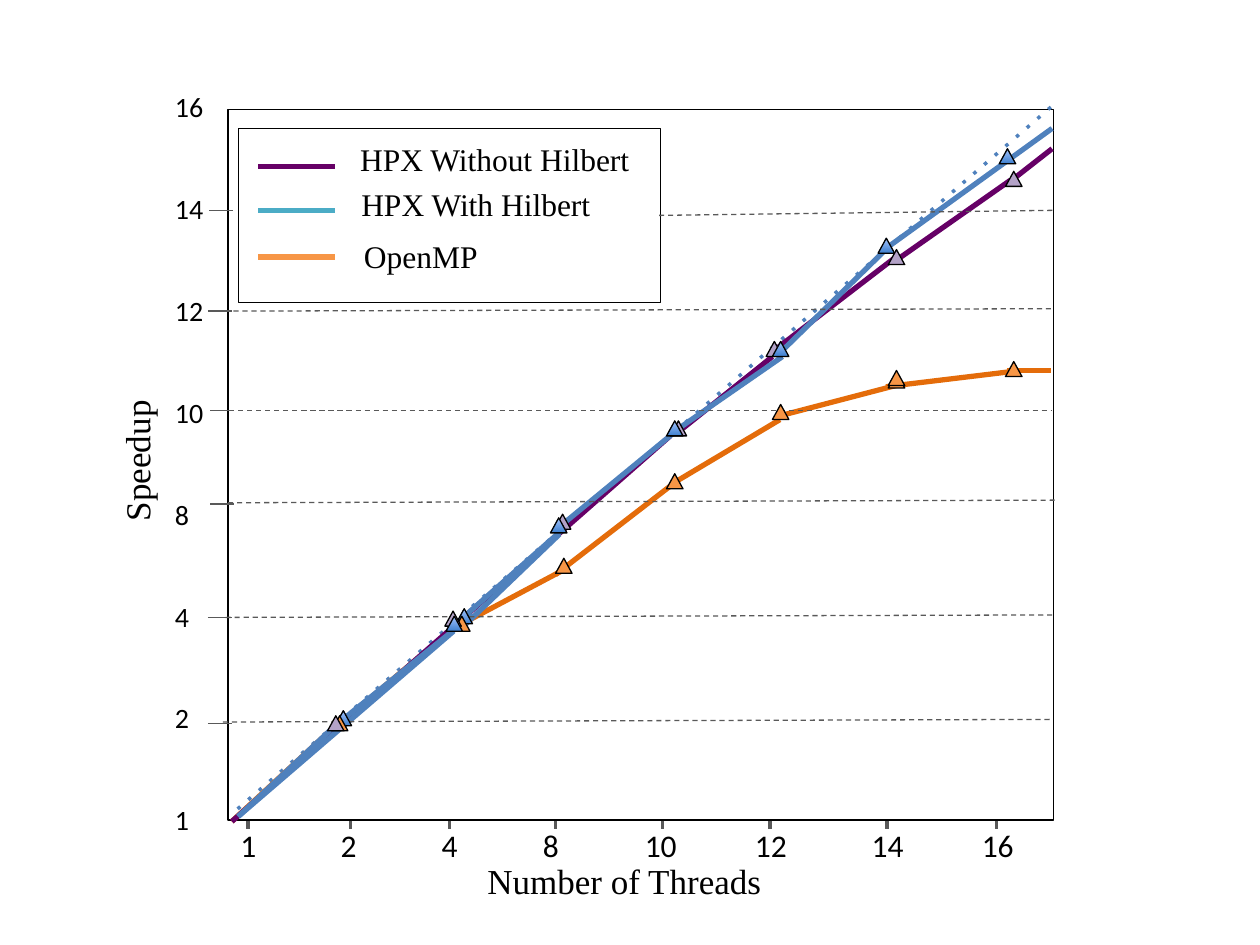
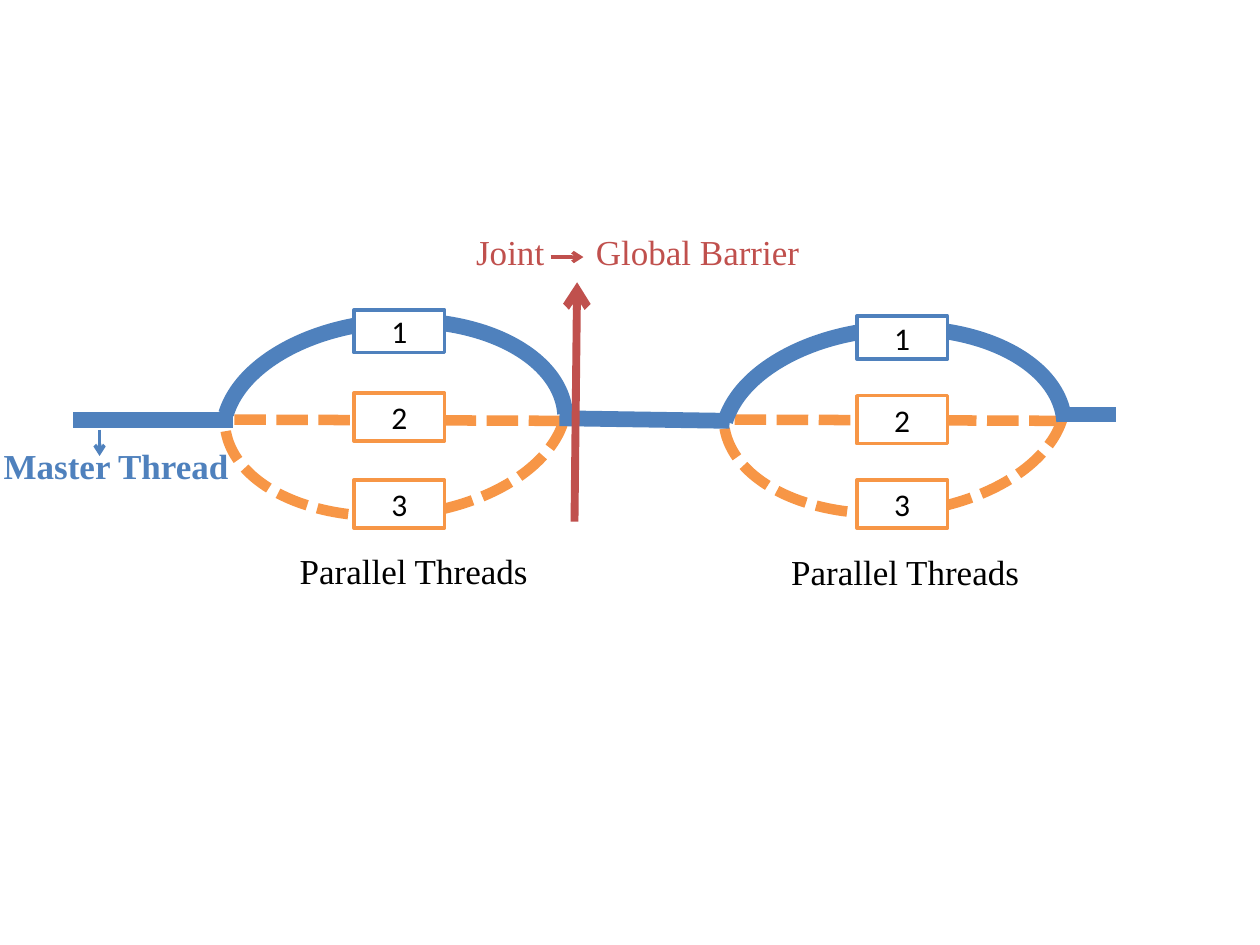
"""Build two slides: a speedup plot and a fork-join thread diagram."""
import pptx
import pptx.dml.color
import pptx.enum.shapes
import pptx.enum.text
import pptx.oxml.ns
import pptx.util
from lxml import etree

Pt = pptx.util.Pt
RGB = pptx.dml.color.RGBColor
KIND = pptx.enum.shapes.MSO_SHAPE
qn = pptx.oxml.ns.qn

BLACK = RGB(0x00, 0x00, 0x00)
WHITE = RGB(0xFF, 0xFF, 0xFF)
GREY = RGB(0x59, 0x59, 0x59)
BLUE = RGB(0x4F, 0x81, 0xBD)
DEEP = RGB(0x3F, 0x80, 0xCE)
PALE = RGB(0xA4, 0xC4, 0xFF)
TEAL = RGB(0x4B, 0xAC, 0xC6)
ORANGE = RGB(0xF7, 0x96, 0x46)
RUST = RGB(0xE4, 0x6C, 0x0A)
PURPLE = RGB(0x66, 0x00, 0x66)
LILAC = RGB(0xB3, 0xA2, 0xC7)
RED = RGB(0xC0, 0x50, 0x4D)
SERIF = "Times New Roman"
SANS = "Calibri"


class Deck:
    """Hold the presentation, its fonts and the current slide."""

    def __init__(self):
        self.file = pptx.Presentation()
        self.file.slide_width, self.file.slide_height = Pt(720), Pt(540)
        self.slide = None

    def page(self):
        self.slide = self.file.slides.add_slide(self.file.slide_layouts[6])

    def style(self, para, size, font, color, bold=False):
        para.font.size, para.font.name = Pt(size), font
        para.font.color.rgb, para.font.bold = color, bold

    def stroke(self, shape, color, width, dash=None, arrow=False):
        shape.line.color.rgb = color
        shape.line.width = Pt(width)
        edge = shape.element.spPr.find(qn("a:ln"))
        if dash:
            etree.SubElement(edge, qn("a:prstDash"), val=dash)
        if arrow:
            etree.SubElement(edge, qn("a:tailEnd"), type="arrow")

    def line(self, ends, color, width, dash=None, arrow=False):
        link = self.slide.shapes.add_connector(
            pptx.enum.shapes.MSO_CONNECTOR.STRAIGHT, *map(Pt, ends))
        self.stroke(link, color, width, dash, arrow)
        etree.SubElement(link.element.spPr, qn("a:effectLst"))

    def shape(self, kind, spot, color, width, fill=None, dash=None):
        item = self.slide.shapes.add_shape(kind, *map(Pt, spot))
        item.shadow.inherit = False
        if fill is None:
            item.fill.background()
        else:
            item.fill.solid()
            item.fill.fore_color.rgb = fill
        self.stroke(item, color, width, dash)
        return item

    def mark(self, left, top, fill):
        item = self.shape(KIND.ISOSCELES_TRIANGLE, (left, top, 9.4, 8.6), BLACK, 0.75, fill)
        if fill == BLUE:
            item.fill.gradient()
            item.fill.gradient_angle = 90
            for stop, color in zip(item.fill.gradient_stops, (DEEP, PALE)):
                stop.color.rgb = color

    def arc(self, spot, turn, color, width, dash=None):
        item = self.shape(KIND.ARC, spot, color, width, dash=dash)
        item.adjustments[0], item.adjustments[1] = 112.833, 0
        item.rotation = turn

    def node(self, text, spot, color):
        item = self.shape(KIND.RECTANGLE, spot, color, 2, WHITE)
        item.text_frame.vertical_anchor = pptx.enum.text.MSO_ANCHOR.MIDDLE
        para = item.text_frame.paragraphs[0]
        para.text = text
        para.alignment = pptx.enum.text.PP_ALIGN.CENTER
        self.style(para, 18, SANS, BLACK)

    def text(self, words, spot, size=20, font=SERIF, color=BLACK, bold=False,
             wrap=False, tabs=(), align="ctr", gap=0):
        box = self.slide.shapes.add_textbox(*map(Pt, spot))
        box.text_frame.word_wrap = wrap
        box.text_frame.text = words
        for index, para in enumerate(box.text_frame.paragraphs):
            if tabs:
                stops = etree.SubElement(
                    para._p.get_or_add_pPr(), qn("a:tabLst"))
                for place in tabs:
                    etree.SubElement(stops, qn("a:tab"), pos=str(Pt(place)), algn=align)
            if index:
                para.space_before = Pt(gap)
            self.style(para, size, font, color, bold)
        return box


RUNS = {
    RUST: [
        (132.5, 469.4, 187.9, 418.3), (194.4, 413.3, 260.6, 357.8),
        (264.2, 356.4, 322.6, 325.4), (317.5, 328.3, 386.6, 275),
        (386.6, 275, 445.7, 239.8), (445.7, 237.6, 511.9, 220.3),
        (506.2, 221, 577.4, 212.4), (575.3, 211.7, 600.5, 211.7)],
    PURPLE: [
        (132.5, 469.4, 383, 249.1), (390.2, 244.8, 441.4, 203.8),
        (443.5, 199.4, 511.9, 146.9), (514.8, 146.9, 577.4, 103),
        (578.2, 103, 601.2, 85)],
    BLUE: [
        (136.1, 466.6, 191.5, 414.7), (191.5, 414.7, 270, 351.4),
        (136.1, 466.6, 259.2, 360.7), (261.4, 355.7, 323.3, 301),
        (266.4, 356.4, 319.7, 305.3), (323.3, 298.1, 388.1, 244.8),
        (385.9, 246.2, 447.1, 203.8), (443.5, 203.8, 506.2, 142.6),
        (505.4, 142.6, 601.2, 73.4)],
}
MARKS = [
    (BLUE, [(260.6, 347.8), (191.5, 406.1)]),
    (ORANGE, [(317.5, 319), (259.2, 352.1), (189.4, 409), (441.4, 231.1),
              (507.6, 213.1), (507.6, 211.7), (574.6, 206.6), (380.9, 270.7)]),
    (LILAC, [(383, 240.5), (316.8, 293.8), (254.2, 349.2), (187.2, 409),
             (507.6, 142.6), (574.6, 97.9), (437.8, 195.1)]),
    (BLUE, [(380.9, 240.5), (254.9, 352.1), (314.6, 295.9), (441.4, 195.1),
            (501.8, 136.1), (571, 85)]),
]
GRID = [
    (376.6, 123.1, 601.9, 120.2), (128.2, 177.8, 600.5, 176.4),
    (136.1, 234.7, 600.5, 234.7), (130.3, 287.3, 602.6, 285.8),
    (128.9, 352.8, 601.2, 351.4), (127.4, 412.6, 600.5, 411.1)]
ROWS = [(119.5, 120.2), (118.8, 177.8), (120.2, 234.7),
        (120.2, 288), (118.8, 352.8), (118.8, 413.3)]
COLS = [141.8, 200.2, 257, 317.5, 378.7, 439.9, 506.9, 569.5]
KEYS = [
    ("HPX Without Hilbert", PURPLE, 95, (198.7, 76.3, 169.9, 28.8)),
    ("HPX With Hilbert", TEAL, 120.2, (199.4, 102.2, 146.9, 28.8)),
    ("OpenMP", ORANGE, 146.9, (200.9, 131.8, 79.9, 28.8))]
COUNTS = ["1", "2", "4", "8", "10", "12", "14", "16"]


def plot(deck):
    """Draw the speedup plot."""
    deck.page()
    deck.shape(KIND.RECTANGLE, (130.3, 62.6, 471.6, 406.1), BLACK, 0.75)
    deck.text("\t".join(COUNTS), (130.3, 468.7, 472.3, 28.8), 18, SANS, wrap=True,
              tabs=(61.9, 119.6, 177.4, 240.2, 303.1, 369.9, 432.8))
    deck.text("\n".join(reversed(COUNTS)), (92.9, 47.5, 31, 433.4), 16, SANS, gap=39.06)
    deck.text("Number of Threads", (271.4, 487.4, 173.5, 31.7))
    deck.text("Speedup", (13, 223.9, 130.3, 31.7), wrap=True).rotation = 270
    deck.shape(KIND.RECTANGLE, (136.1, 73.4, 241.2, 99.4), BLACK, 0.75)
    for name, color, level, spot in KEYS:
        deck.line((147.6, level, 191.5, level), color, 3)
        deck.text(name, spot, 18)
    deck.line((600.5, 61.2, 132.5, 465.1), BLUE, 2, "dot")
    for color, parts in RUNS.items():
        for ends in parts:
            deck.line(ends, color, 3)
    for ends in GRID:
        deck.line(ends, GREY, 0.75, "dash")
    for left, level in ROWS:
        deck.line((left, level, left + 13.7, level), GREY, 0.75)
    for left in COLS:
        deck.line((left, 469, left, 473.8), GREY, 2)
    for fill, spots in MARKS:
        for left, top in spots:
            deck.mark(left, top, fill)


def loop(deck, dash, arcs, left, tops, label):
    """Draw one fork and join of three threads."""
    deck.line(dash, ORANGE, 6, "sysDash")
    upper, lower = arcs
    deck.arc((*lower, 195.8, 119.5), 175, ORANGE, 6, "sysDash")
    deck.arc((*upper, 195.8, 119.5), 356, BLUE, 9)
    for count, top in enumerate(tops, 1):
        first = count == 1
        deck.node(str(count), (left, top, 51.8, 24.5 if first else 27.4),
                  BLUE if first else ORANGE)
    deck.text("Parallel Threads", (*label, 146.2, 31.7))


def fork(deck):
    """Draw the fork-join thread diagram."""
    deck.page()
    loop(deck, (133.9, 239.8, 323.3, 240.5), ((127.4, 183.6), (128.2, 175)),
         202.3, (177.1, 224.6, 274.3), (164.2, 310.3))
    loop(deck, (419.8, 239.8, 609.1, 240.5), ((412.6, 187.9), (413.3, 173.5)),
         489.6, (180.7, 226.1, 274.3), (445, 311))
    for ends in ((41.8, 239.8, 133.2, 239.8), (319.7, 239, 416.9, 240.5),
                 (604.8, 236.9, 637.9, 236.9)):
        deck.line(ends, BLUE, 9)
    deck.text("Master Thread", (-5, 250.6, 144, 31.7), color=BLUE, bold=True)
    deck.text("Joint\tGlobal Barrier", (265, 128.2, 201.6, 31.7), color=RED,
              wrap=True, tabs=(68.4,), align="l")
    deck.line((328.3, 298.1, 329.8, 161.3), RED, 4.5, arrow=True)
    deck.line((314.6, 146.9, 333.4, 146.9), RED, 2, arrow=True)
    deck.line((56.9, 245.5, 56.9, 260.6), BLUE, 2, arrow=True)


def main():
    """Build both slides and save them."""
    deck = Deck()
    plot(deck)
    fork(deck)
    deck.file.save("out.pptx")


if __name__ == "__main__":
    main()
